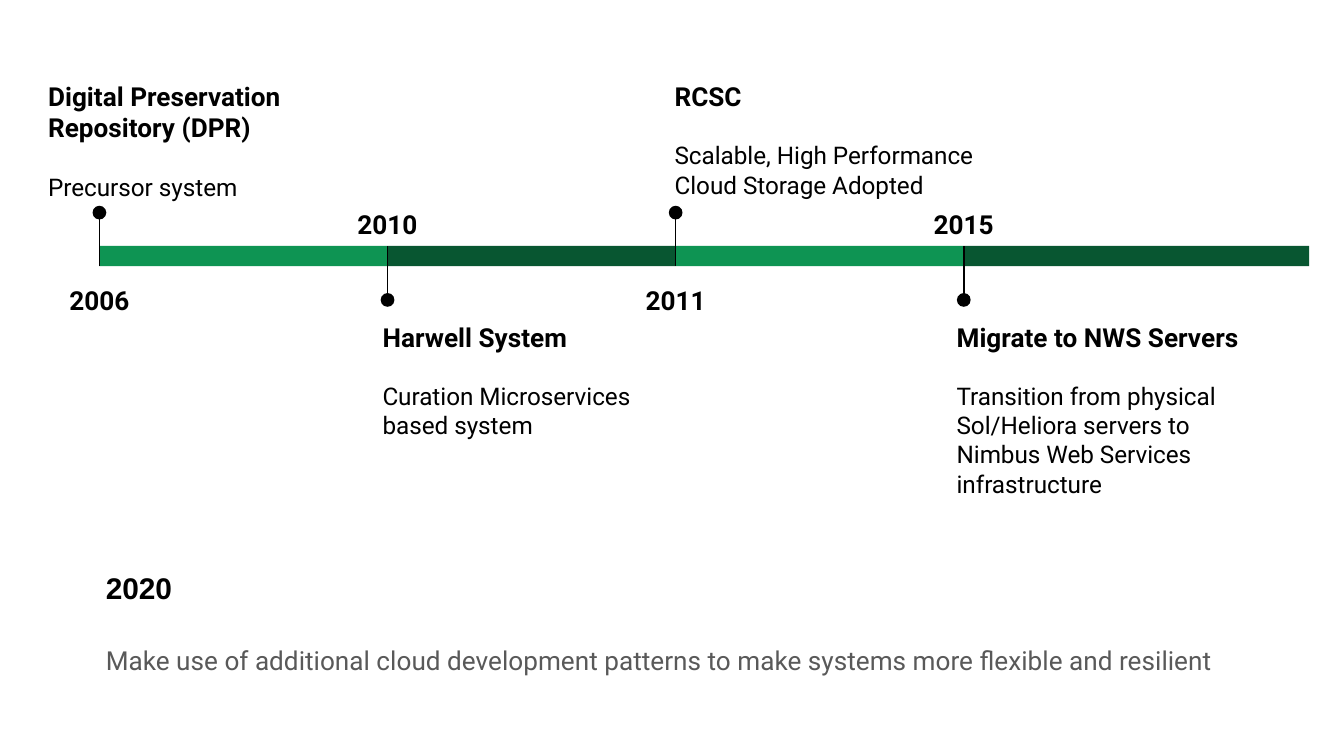
"""Build a one-slide timeline of a digital preservation system."""
import pptx
import pptx.dml.color
import pptx.enum.shapes
import pptx.enum.text
import pptx.oxml
import pptx.util

Cm = pptx.util.Cm
Pt = pptx.util.Pt
RGBColor = pptx.dml.color.RGBColor
SHAPE = pptx.enum.shapes.MSO_SHAPE
ALIGN = pptx.enum.text.PP_ALIGN

BLACK = RGBColor(0x00, 0x00, 0x00)
GRAY = RGBColor(0x59, 0x59, 0x59)
LIGHT_GREEN = RGBColor(0x0E, 0x94, 0x53)
DARK_GREEN = RGBColor(0x08, 0x56, 0x31)

MILESTONES = [
    {"year": "2006", "title": "Digital Preservation Repository (DPR)",
     "detail": "Precursor system", "story_left": 0.66},
    {"year": "2010", "title": "Harwell System",
     "detail": "Curation Microservices based system", "story_left": 6.98},
    {"year": "2011", "title": "RCSC",
     "detail": "Scalable, High Performance Cloud Storage Adopted", "story_left": 12.5},
    {"year": "2015", "title": "Migrate to NWS Servers",
     "detail": "Transition from physical Sol/Heliora servers to Nimbus Web Services infrastructure",
     "story_left": 17.83},
]
OUTLOOK_YEAR = "2020"
OUTLOOK = ("Make use of additional cloud development patterns "
           "to make systems more flexible and resilient")

BAR_LEFT, BAR_TOP, BAR_HEIGHT = 1.88, 4.65, 0.38
BAR_STEP, LAST_BAR_WIDTH = 5.445, 6.53
BAR_BOTTOM = BAR_TOP + BAR_HEIGHT
DOT = 0.26
YEAR_WIDTH, YEAR_HEIGHT = 2.08, 1.04
STORY_WIDTH, STORY_HEIGHT = 6.3, 2.62
ABOVE = {"dot": 4.02, "line_end": BAR_BOTTOM, "year": BAR_BOTTOM, "story": 1.27}
BELOW = {"dot": 5.67, "line_end": BAR_TOP, "year": BAR_TOP - YEAR_HEIGHT, "story": 5.82}


def add_box(slide, left, top, width, height):
    """Add an empty wrapping text box and return its text frame."""
    frame = slide.shapes.add_textbox(Cm(left), Cm(top), Cm(width), Cm(height)).text_frame
    frame.word_wrap = True
    frame.margin_left = frame.margin_right = Cm(0.25)
    frame.margin_top = frame.margin_bottom = Cm(0.25)
    return frame


def write(frame, text, size=14, bold=False, color=BLACK, font="Roboto",
          align=ALIGN.LEFT, spacing=1.0, before=0):
    """Write one formatted paragraph into a text frame."""
    first = frame.paragraphs[0]
    paragraph = frame.add_paragraph() if first.runs else first
    paragraph.alignment = align
    paragraph.line_spacing = spacing
    paragraph.space_before = Pt(before)
    run = paragraph.add_run()
    run.text = text
    run.font.size = Pt(size)
    run.font.bold = bold
    run.font.name = font
    run.font.color.rgb = color


def add_filled(slide, kind, left, top, width, height, color):
    """Add a plain filled shape without outline or shadow."""
    shape = slide.shapes.add_shape(kind, Cm(left), Cm(top), Cm(width), Cm(height))
    shape.shadow.inherit = False
    shape.fill.solid()
    shape.fill.fore_color.rgb = color
    shape.line.fill.background()


def add_stem(slide, x, start, end):
    """Add the thin vertical line between a dot and the bar."""
    stem = slide.shapes.add_connector(
        pptx.enum.shapes.MSO_CONNECTOR.STRAIGHT, Cm(x), Cm(start), Cm(x), Cm(end))
    stem.line.color.rgb = BLACK
    stem.line.width = Pt(0.75)
    properties = stem.element.find(pptx.oxml.ns.qn("p:spPr"))
    properties.append(pptx.oxml.parse_xml(
        '<a:effectLst xmlns:a="http://schemas.openxmlformats.org/drawingml/2006/main"/>'))


def add_milestone(slide, index, milestone):
    """Add one bar segment with its pin, year and story."""
    x = BAR_LEFT + index * BAR_STEP
    side, color = (BELOW, DARK_GREEN) if index % 2 else (ABOVE, LIGHT_GREEN)
    width = LAST_BAR_WIDTH if index == len(MILESTONES) - 1 else BAR_STEP
    add_filled(slide, SHAPE.RECTANGLE, x, BAR_TOP, width, BAR_HEIGHT, color)
    add_stem(slide, x, side["dot"], side["line_end"])
    add_filled(slide, SHAPE.OVAL, x - DOT / 2, side["dot"] - DOT / 2, DOT, DOT, BLACK)
    year = add_box(slide, x - YEAR_WIDTH / 2, side["year"], YEAR_WIDTH, YEAR_HEIGHT)
    write(year, milestone["year"], bold=True, align=ALIGN.CENTER, spacing=1.15)
    story = add_box(slide, milestone["story_left"], side["story"], STORY_WIDTH, STORY_HEIGHT)
    write(story, milestone["title"], bold=True)
    write(story, milestone["detail"], size=13, before=15.5)


def main():
    """Create and save the presentation."""
    deck = pptx.Presentation()
    deck.slide_width, deck.slide_height = Cm(25.4), Cm(14.29)
    slide = deck.slides.add_slide(deck.slide_layouts[6])
    for index, milestone in enumerate(MILESTONES):
        add_milestone(slide, index, milestone)
    outlook = add_box(slide, 1.75, 10.52, 21.92, 2.39)
    write(outlook, OUTLOOK_YEAR, size=16, bold=True, font="Arial")
    write(outlook, OUTLOOK, color=GRAY, spacing=1.15, before=18.5)
    deck.save("out.pptx")


if __name__ == "__main__":
    main()
